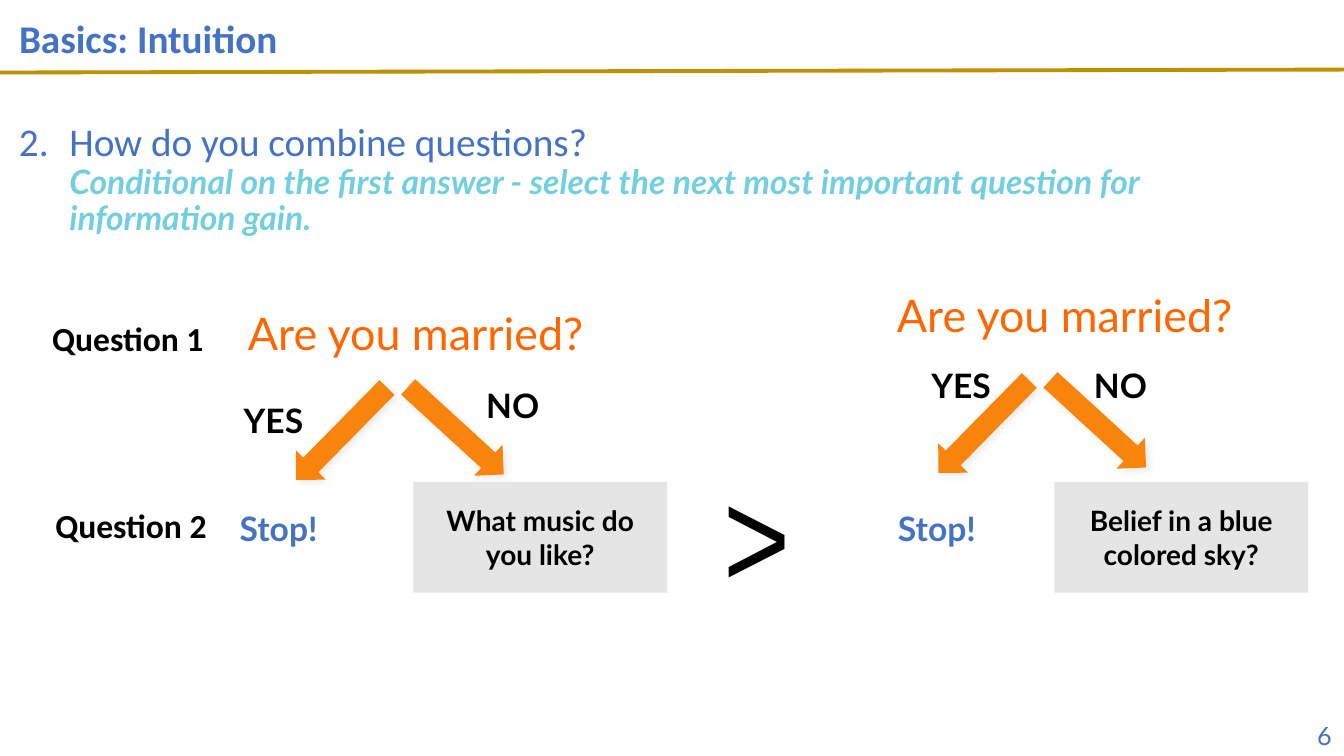
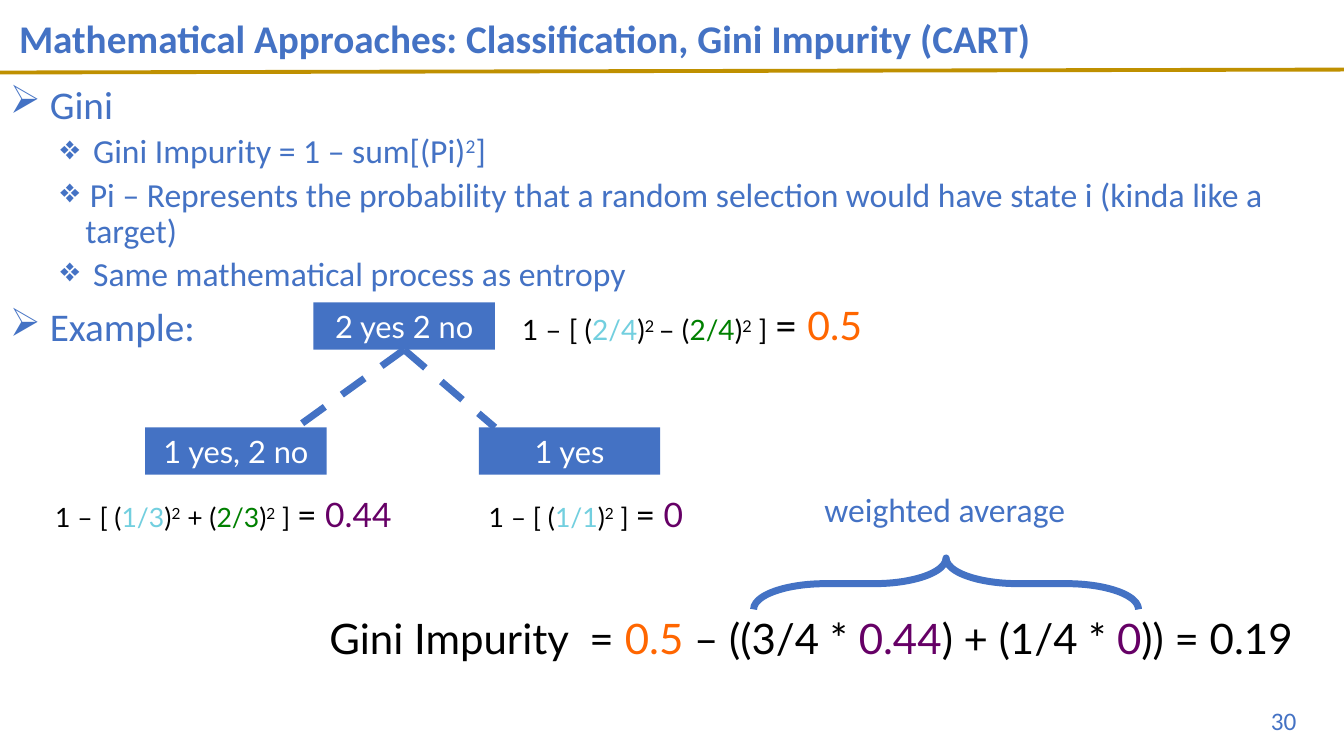
from lxml import etree
from pptx import Presentation
from pptx.dml.color import RGBColor
from pptx.enum import dml, shapes, text
from pptx.oxml import ns
from pptx.util import Pt

BLUE = RGBColor(0x44, 0x72, 0xC4)
GOLD = RGBColor(0xBF, 0x90, 0x00)
CYAN = RGBColor(0x72, 0xCF, 0xDF)
ORANGE = RGBColor(0xFF, 0x66, 0x00)
ARROW_ORANGE = RGBColor(0xF9, 0x84, 0x0C)
GREEN = RGBColor(0x00, 0x80, 0x00)
PURPLE = RGBColor(0x66, 0x00, 0x66)
GRAY = RGBColor(0xE5, 0xE5, 0xE5)
BLACK = RGBColor(0, 0, 0)
WHITE = RGBColor(255, 255, 255)
LEFT, CENTER, RIGHT = text.PP_ALIGN.LEFT, text.PP_ALIGN.CENTER, text.PP_ALIGN.RIGHT


def write(slide, runs, area=None, box=None, size=24, font="Lato", color=BLACK,
          bold=False, align=LEFT, middle=False, fill=None, inset=None,
          spacing=None, before=0, bullet=None, indent=(0, 0)):
    """Write one paragraph in a new box at area, or append it to box.

    runs is a string, or a list of (text, format) pairs whose formats
    override size, color, bold and italic, or raise the text.
    """
    if box is None:
        place = [Pt(v) for v in area]
        if fill is None:
            box = slide.shapes.add_textbox(*place)
        else:
            box = slide.shapes.add_shape(shapes.MSO_SHAPE.RECTANGLE, *place)
            box.shadow.inherit = False
            box.fill.solid()
            box.fill.fore_color.rgb = fill
            box.line.fill.background()
        frame = box.text_frame
        frame.word_wrap = True
        frame.vertical_anchor = text.MSO_ANCHOR.MIDDLE if middle else text.MSO_ANCHOR.TOP
        if inset is not None:
            frame.margin_left = frame.margin_right = Pt(inset)
            frame.margin_top = frame.margin_bottom = Pt(inset)
        paragraph = frame.paragraphs[0]
    else:
        paragraph = box.text_frame.add_paragraph()

    paragraph.alignment = align
    paragraph.space_before = Pt(before)
    if spacing:
        paragraph.line_spacing = spacing
    if bullet:
        tag, attributes = bullet
        properties = paragraph._p.get_or_add_pPr()
        properties.set("marL", str(Pt(indent[0])))
        properties.set("indent", str(Pt(indent[1])))
        etree.SubElement(properties, ns.qn(tag), attributes)

    for words, style in [(runs, {})] if isinstance(runs, str) else runs:
        if words == "\n":
            paragraph.add_line_break()
            continue
        run = paragraph.add_run()
        run.text = words
        run.font.name = style.get("font", font)
        run.font.size = Pt(style.get("size", size))
        run.font.bold = style.get("bold", bold)
        run.font.italic = style.get("italic", False)
        run.font.color.rgb = style.get("color", color)
        if style.get("raised"):
            run._r.get_or_add_rPr().set("baseline", "30000")
    return box


def draw_line(slide, start, end, color, width, dash=None):
    line = slide.shapes.add_connector(
        shapes.MSO_CONNECTOR.STRAIGHT, *[Pt(v) for v in (*start, *end)])
    line.line.color.rgb = color
    line.line.width = Pt(width)
    if dash:
        line.line.dash_style = dash
    etree.SubElement(line._element.spPr, ns.qn("a:effectLst"))


deck = Presentation()
deck.slide_width, deck.slide_height = Pt(960), Pt(540)

# Shared title, rule and page number
pages = []
for title, number, number_area, number_font in [
    ("Basics: Intuition", "6", (734.4, 511.2, 224, 28.8), "Lato"),
    ("Mathematical Approaches: Classification, Gini Impurity (CART)", "30",
     (717.1, 500.4, 216, 28.8), "Calibri"),
]:
    page = deck.slides.add_slide(deck.slide_layouts[6])
    draw_line(page, (0, 51.8), (960, 49.7), GOLD, 2.75)
    write(page, title, (6.5, 0, 854, 58.5), size=28, font="Calibri", color=BLUE,
          bold=True, middle=True, spacing=0.9)
    write(page, number, number_area, size=18, font=number_font, color=BLUE, align=RIGHT)
    pages.append(page)
intuition, gini = pages

# Intuition: two question trees compared
write(intuition, [
    ("How do you combine questions?", {"size": 28, "font": "Calibri", "color": BLUE}),
    ("\n", {}),
    ("Conditional on the first answer - select the next most important question "
     "for information gain.", {"color": CYAN, "bold": True, "italic": True}),
], (6.5, 84.2, 828, 343), spacing=0.9, before=10, indent=(36, -36),
    bullet=("a:buAutoNum", {"type": "arabicPeriod", "startAt": "2"}))

for label, left, top in [("Question 1", 30.2, 223.2), ("Question 2", 32.4, 357.1)]:
    write(intuition, label, (left, top, 126, 36), font="Calibri", bold=True)

trees = [
    # question, yes, no, stop, follow-up, first arrow
    ((160, 214.6), (127.4, 282.2), (319.7, 271.4), (144, 359.3),
     (295.2, 344.2), (229, 263.5), "What music do you like?"),
    ((623.5, 201.6), (618.5, 257), (753.8, 257), (614.2, 359.3),
     (753.1, 344.2), (687.8, 258.5), "Belief in a blue colored sky?"),
]
for question, yes, no, stop, follow_up, arrows, next_question in trees:
    write(intuition, "Are you married?", (*question, 274, 46), size=32,
          color=ORANGE, align=CENTER)
    for shift, rise, turn in [(0, 0, 44.5), (81.7, 2.2, 312.5)]:
        arrow = intuition.shapes.add_shape(
            shapes.MSO_SHAPE.DOWN_ARROW, Pt(arrows[0] + shift), Pt(arrows[1] - rise),
            Pt(30), Pt(92.6))
        arrow.rotation = turn
        arrow.fill.solid()
        arrow.fill.fore_color.rgb = ARROW_ORANGE
        arrow.line.fill.background()
        arrow.shadow.inherit = False
        effects = arrow._element.spPr.find(ns.qn("a:effectLst"))
        shadow = etree.SubElement(effects, ns.qn("a:outerShdw"), {
            "blurRad": str(Pt(5)), "dist": str(Pt(3)), "dir": "2700000"})
        tint = etree.SubElement(shadow, ns.qn("a:srgbClr"), {"val": "E7E6E6"})
        etree.SubElement(tint, ns.qn("a:alpha"), {"val": "75000"})
    write(intuition, "YES", (*yes, 136, 36), bold=True, align=CENTER, inset=3.6)
    write(intuition, "NO", (*no, 93, 36), bold=True, align=CENTER, inset=3.6)
    write(intuition, "Stop!", (*stop, 110, 36), color=BLUE, bold=True, align=CENTER)
    write(intuition, next_question, (*follow_up, 181.4, 79.2), size=20, bold=True,
          align=CENTER, middle=True, fill=GRAY)
write(intuition, ">", (482.4, 316.8, 116, 128), size=100, font="Arial Narrow", align=CENTER)

# Gini impurity: definition
squared = ("2", {"raised": True})
outline = None
for level, runs in [
    (0, " Gini"),
    (1, [(" Gini Impurity = 1 – sum[(Pi)", {}), squared, ("]", {})]),
    (1, [(" ", {"raised": True}),
         ("Pi – Represents the probability that a random selection would have "
          "state i (kinda like a target)", {})]),
    (1, " Same mathematical process as entropy"),
    (0, " Example:"),
]:
    outline = write(gini, runs, (0, 57.6, 942, 395), box=outline, font="Calibri",
                    color=BLUE, size=(28, 24)[level], before=(10, 5)[level], spacing=0.9,
                    bullet=("a:buChar", {"char": "➢❖"[level]}),
                    indent=(18 + 36 * level, -18))

# Gini impurity: split tree
for node, left, top in [("2 yes 2 no", 223.9, 216), ("1 yes, 2 no", 103.7, 305.3),
                        ("1 yes", 342, 305.3)]:
    write(gini, node, (left, top, 129.6, 33.8), size=22, color=WHITE, align=CENTER,
          middle=True, fill=BLUE, inset=3.6)
for branch_end in (211.7, 353.5):
    draw_line(gini, (288.7, 249.8), (branch_end, 305.3), BLUE, 5, dml.MSO_LINE.DASH)

cyan, green = {"color": CYAN}, {"color": GREEN}
for area, size, result_size, result_color, result, terms in [
    ((365.8, 205.2, 339, 44), 20, 28, ORANGE, "0.5",
     [("2/4", cyan), (")", {}), ("2 ", {"raised": True}), ("– (", {}), ("2/4", green)]),
    ((32.4, 343.4, 271.4, 42.5), 19, 24, PURPLE, "0.44",
     [("1/3", cyan), (")", {}), squared, (" + (", {}), ("2/3", green)]),
    ((342, 343.4, 155.5, 42.5), 19, 24, PURPLE, "0", [("1/1", cyan)]),
]:
    write(gini, [("1 – [ (", {}), *terms, (")", {}), squared, (" ] ", {}),
                 ("= ", {"size": result_size}),
                 (result, {"size": result_size, "color": result_color})],
          area, size=size, spacing=1.2)

# Gini impurity: weighted result
purple = {"color": PURPLE}
write(gini, [("Gini Impurity  = ", {}), ("0.5 ", {"color": ORANGE}), ("– ((3/4 * ", {}),
             ("0.44", purple), (") + (1/4 * ", {}), ("0", purple), (")) = 0.19", {})],
      (228.2, 434.2, 731, 44), size=30)
write(gini, "weighted average", (581.8, 345.6, 192, 36), font="Calibri", color=BLUE)
brace = gini.shapes.add_shape(shapes.MSO_SHAPE.LEFT_BRACE, Pt(657.4), Pt(279.4),
                              Pt(36.7), Pt(275))
brace.rotation = 90
brace.adjustments[0], brace.adjustments[1] = 1.4, 0.5
brace.shadow.inherit = False
brace.fill.background()
brace.line.color.rgb = BLUE
brace.line.width = Pt(5)

deck.save("out.pptx")
